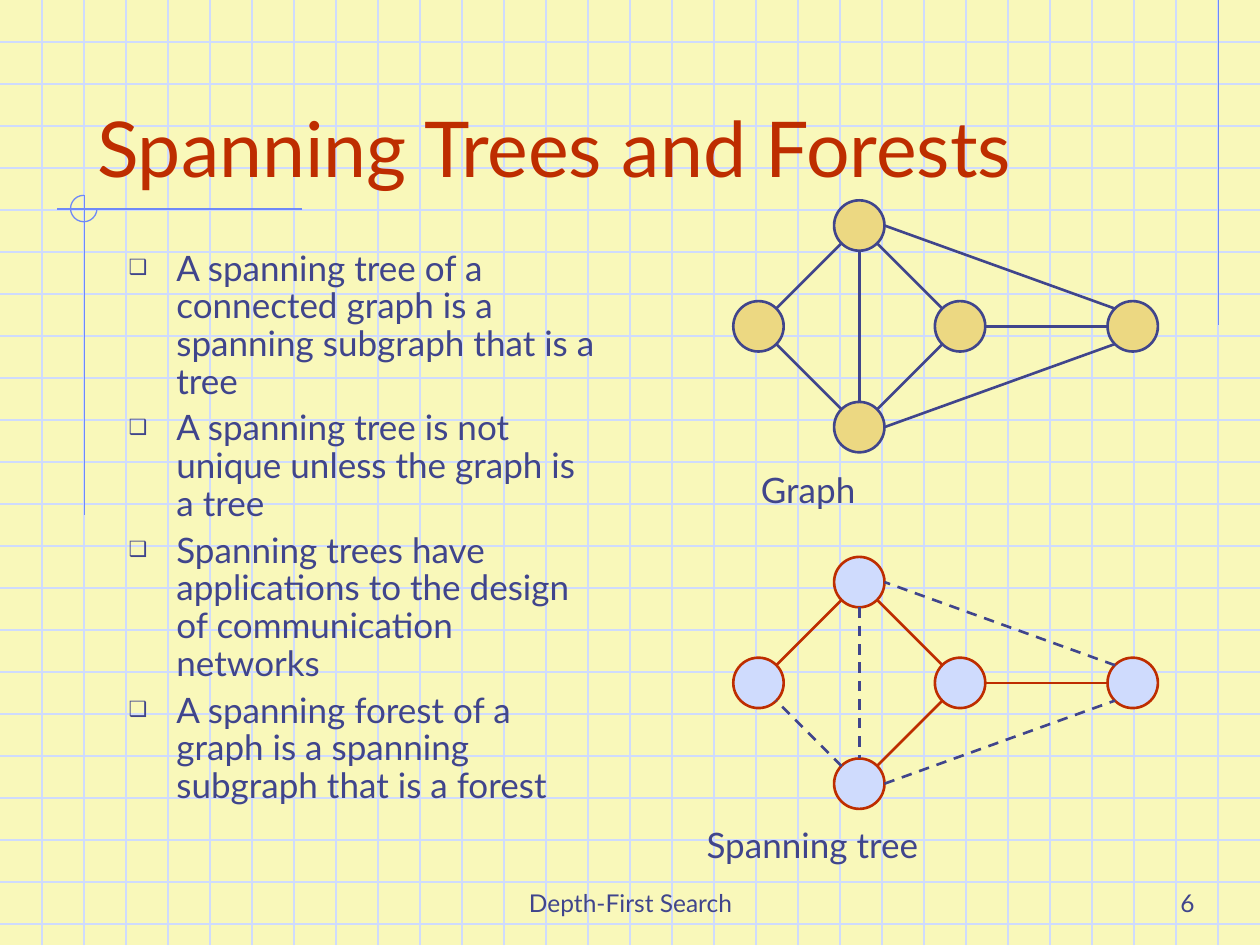
import pptx
import pptx.util
import pptx.dml.color
import pptx.enum.dml
import pptx.enum.shapes
import pptx.enum.text
import pptx.oxml.ns
import lxml.etree

Inches = pptx.util.Inches
Pt = pptx.util.Pt
ALIGN = pptx.enum.text.PP_ALIGN
ANCHOR = pptx.enum.text.MSO_ANCHOR

COLORS = {
    "paper": "F9F8BA",
    "grid": "CFDBFD",
    "accent": "6F89F7",
    "ink": "40458C",
    "red": "BE2D00",
    "gold": "ECD882",
}
FONT = "Lato"
WIDTH, HEIGHT = 10, 7.5
GRID_STEP = 1 / 3

TITLE = "Spanning Trees and Forests"
BULLETS = [
    "A spanning tree of a connected graph is a spanning subgraph that is a tree",
    "A spanning tree is not unique unless the graph is a tree",
    "Spanning trees have applications to the design of communication networks",
    "A spanning forest of a graph is a spanning subgraph that is a forest",
]
LABELS = [
    ("Depth-First Search", (3.42, 6.83, 3.17, 0.5), 14, ALIGN.CENTER, ANCHOR.BOTTOM),
    ("6", (7.5, 6.83, 2.08, 0.5), 14, ALIGN.RIGHT, ANCHOR.BOTTOM),
    ("Graph", (5.94, 3.67, 3.12, 0.44), 20, ALIGN.LEFT, ANCHOR.TOP),
    ("Spanning tree", (5.51, 6.49, 3.99, 0.44), 20, ALIGN.LEFT, ANCHOR.TOP),
]
ACCENT_LINES = [
    ((9.67, 0), (9.67, 2.58)),
    ((2.4, 1.66), (0.45, 1.66)),
    ((0.67, 1.55), (0.67, 4.09)),
]

RADIUS = 0.2
DIAGONAL = 0.14
NODES = {
    "middle": (1.8, 1),
    "left": (0.2, 1),
    "top": (1, 0.2),
    "bottom": (1, 1.8),
    "right": (3.17, 1),
}
SITES = {
    "n": (0, -RADIUS),
    "s": (0, RADIUS),
    "e": (RADIUS, 0),
    "w": (-RADIUS, 0),
    "ne": (DIAGONAL, -DIAGONAL),
    "nw": (-DIAGONAL, -DIAGONAL),
    "se": (DIAGONAL, DIAGONAL),
    "sw": (-DIAGONAL, DIAGONAL),
}
EDGES = [
    ("top", "sw", "left", "ne"),
    ("bottom", "nw", "left", "se"),
    ("bottom", "ne", "middle", "sw"),
    ("top", "se", "middle", "nw"),
    ("top", "s", "bottom", "n"),
    ("middle", "e", "right", "w"),
    ("bottom", "e", "right", "sw"),
    ("right", "nw", "top", "e"),
]
TREE = {("top", "left"), ("bottom", "middle"), ("top", "middle"), ("middle", "right")}
GRAPHS = [
    {"origin": (5.82, 1.59), "fill": "gold", "line": "ink", "tree": None},
    {"origin": (5.82, 4.42), "fill": "grid", "line": "red", "tree": TREE},
]


def rgb(name):
    return pptx.dml.color.RGBColor.from_string(COLORS[name])


def place(shape, box):
    shape.left, shape.top, shape.width, shape.height = map(Inches, box)


def style_text(para, size, color, align=ALIGN.LEFT):
    para.alignment = align
    para.font.name = FONT
    para.font.size = Pt(size)
    para.font.color.rgb = rgb(color)


def add_line(page, start, end, color, width=0.75, dashed=False):
    line = page.shapes.add_connector(
        pptx.enum.shapes.MSO_CONNECTOR.STRAIGHT, *map(Inches, start + end))
    line.line.color.rgb = rgb(color)
    line.line.width = Pt(width)
    if dashed:
        line.line.dash_style = pptx.enum.dml.MSO_LINE.DASH
    lxml.etree.SubElement(line.element.spPr, pptx.oxml.ns.qn("a:effectLst"))


def add_outline(page, kind, box, line, width, fill=None):
    shape = page.shapes.add_shape(kind, *map(Inches, box))
    shape.shadow.inherit = False
    if fill:
        shape.fill.solid()
        shape.fill.fore_color.rgb = rgb(fill)
    else:
        shape.fill.background()
    shape.line.color.rgb = rgb(line)
    shape.line.width = Pt(width)
    return shape


def add_backdrop(page):
    page.background.fill.solid()
    page.background.fill.fore_color.rgb = rgb("paper")
    for step in range(1, 23):
        add_line(page, (0, step * GRID_STEP), (WIDTH, step * GRID_STEP), "grid")
    for step in range(1, 30):
        add_line(page, (step * GRID_STEP, 0), (step * GRID_STEP, HEIGHT), "grid")
    for start, end in ACCENT_LINES:
        add_line(page, start, end, "accent")
    arc = add_outline(page, pptx.enum.shapes.MSO_SHAPE.ARC,
                      (0.56, 1.55, 0.21, 0.21), "accent", 0.75)
    arc.adjustments[0] = 0
    arc.adjustments[1] = 162


def add_bullet(para):
    props = para._p.get_or_add_pPr()
    props.set("marL", str(Inches(0.38)))
    props.set("indent", str(Inches(-0.38)))
    qn = pptx.oxml.ns.qn
    color = lxml.etree.SubElement(props, qn("a:buClr"))
    lxml.etree.SubElement(color, qn("a:srgbClr"), val=COLORS["ink"])
    lxml.etree.SubElement(props, qn("a:buSzPct"), val="60000")
    lxml.etree.SubElement(props, qn("a:buChar"), char="❑")


def add_placeholders(page):
    title, body = page.placeholders
    for holder, box, anchor in (
        (title, (0.67, 0.33, 8.5, 1.25), ANCHOR.BOTTOM),
        (body, (0.92, 1.94, 3.92, 4.64), ANCHOR.TOP),
    ):
        place(holder, box)
        holder.text_frame.vertical_anchor = anchor
        holder.text_frame.auto_size = pptx.enum.text.MSO_AUTO_SIZE.NONE
        page.shapes.element.append(holder.element)
    title.text_frame.text = TITLE
    style_text(title.text_frame.paragraphs[0], 44, "red")
    body.text_frame.text = "\n".join(BULLETS)
    for para in body.text_frame.paragraphs:
        style_text(para, 20, "ink")
        para.line_spacing = 0.9
        para.space_before = Pt(5)
        add_bullet(para)


def add_label(page, text, box, size, align, anchor):
    label = page.shapes.add_textbox(*map(Inches, box))
    label.text_frame.word_wrap = True
    label.text_frame.vertical_anchor = anchor
    label.text_frame.text = text
    style_text(label.text_frame.paragraphs[0], size, "ink", align)


def add_graph(page, origin, fill, line, tree):
    centers = {name: (origin[0] + x, origin[1] + y) for name, (x, y) in NODES.items()}

    def site(node, side):
        return tuple(c + d for c, d in zip(centers[node], SITES[side]))

    for x, y in centers.values():
        add_outline(page, pptx.enum.shapes.MSO_SHAPE.OVAL,
                    (x - RADIUS, y - RADIUS, 2 * RADIUS, 2 * RADIUS), line, 1.5, fill)
    for first, first_side, second, second_side in EDGES:
        dashed = tree is not None and (first, second) not in tree
        add_line(page, site(first, first_side), site(second, second_side),
                 "ink" if dashed else line, 1.5, dashed)


def main():
    deck = pptx.Presentation()
    deck.slide_width, deck.slide_height = Inches(WIDTH), Inches(HEIGHT)
    page = deck.slides.add_slide(deck.slide_layouts[1])
    add_backdrop(page)
    add_placeholders(page)
    for label in LABELS:
        add_label(page, *label)
    for graph in GRAPHS:
        add_graph(page, **graph)
    deck.save("out.pptx")


if __name__ == "__main__":
    main()
